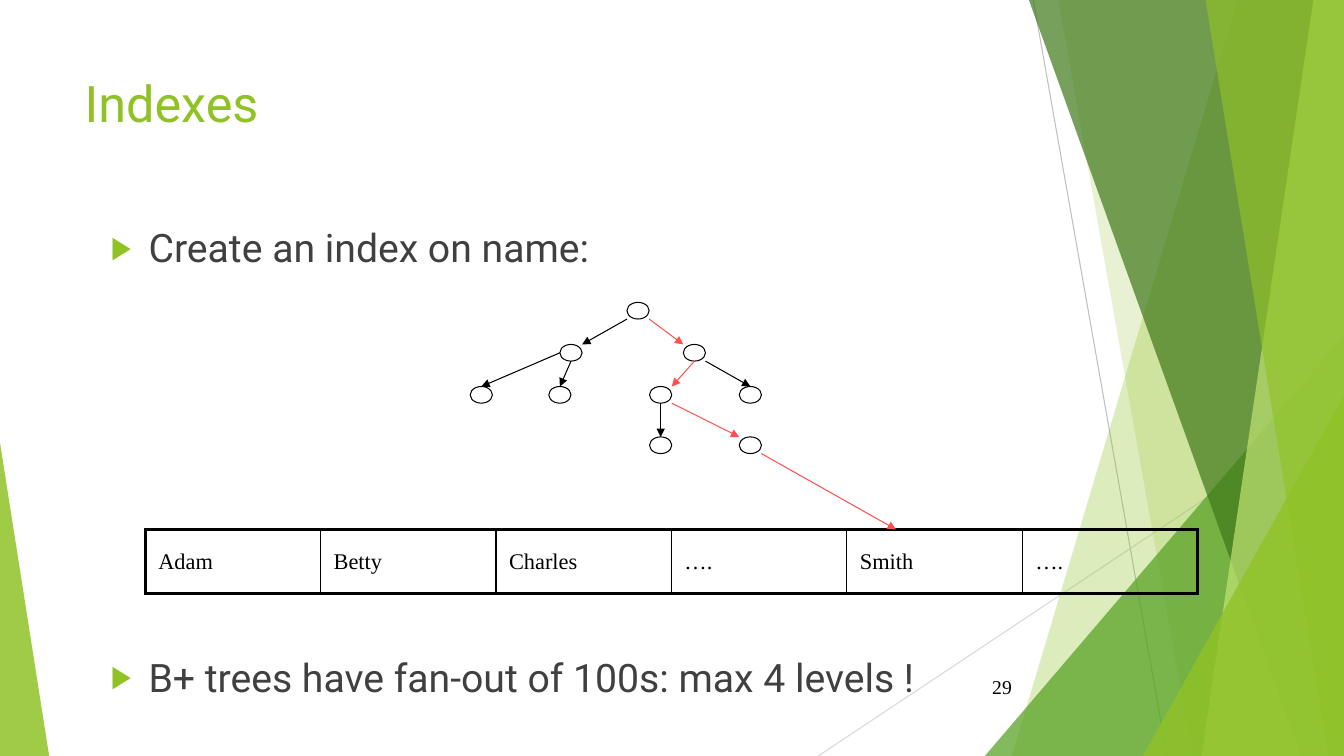
from typing import NamedTuple, Optional

import pptx
import pptx.dml.color
import pptx.enum.shapes
import pptx.enum.text
import pptx.oxml
import pptx.oxml.ns
import pptx.util
from lxml import etree

Cm = pptx.util.Cm
Pt = pptx.util.Pt
SHAPE = pptx.enum.shapes.MSO_SHAPE
ANCHOR = pptx.enum.text.MSO_ANCHOR
ALIGN = pptx.enum.text.PP_ALIGN

W, H = 33.87, 19.05
GREEN, BLACK, RED, GREY = "90C226", "000000", "FF5050", "404040"
NODE_W, NODE_H = 0.56, 0.42
TABLE_X, TABLE_Y, TABLE_W, TABLE_H = 3.66, 13.34, 26.52, 1.62
NAMES = ["Adam", "Betty", "Charles", "….", "Smith", "…."]

Point = tuple[float, float]


class Line(NamedTuple):
    start: Point
    end: Point
    color: str


class Facet(NamedTuple):
    """A translucent panel from its top edge point to its bottom edge point."""
    top_x: float
    bottom_x: float
    color: str
    alpha: int


class Triangle(NamedTuple):
    x: float
    y: float
    w: float
    apex: float
    color: str
    alpha: int


class Edge(NamedTuple):
    """An arrow between two nodes, each end given as a fraction of the node's box."""
    parent: str
    out: Point
    child: Optional[str]
    into: Point
    color: str = BLACK


GUIDES = [
    Line((26.04, 0), (29.41, H), "BFBFBF"),
    Line((W, 10.24), (20.62, H), "D9D9D9"),
]
PANELS = [
    Facet(31.19, 25.5, GREEN, 30),
    Facet(26.67, 30.05, GREEN, 20),
    Triangle(24.82, 8.46, 9.05, 1, "54A021", 72),
    Facet(25.93, 32.79, "3F7819", 70),
    Facet(33.1, 30.28, "C0E474", 70),
    Facet(30.38, 33.48, GREEN, 65),
    Triangle(28.8, 9.98, 5.07, 1, GREEN, 80),
    Triangle(0, 11.15, 1.24, 0, GREEN, 85),
]
NODES = {
    "root": (15.8, 7.62),
    "L": (14.11, 8.68), "R": (17.22, 8.68),
    "LL": (11.85, 9.74), "LR": (13.83, 9.74),
    "RL": (16.37, 9.74), "RR": (18.63, 9.74),
    "RLL": (16.37, 11.01), "RLR": (18.63, 11.01),
}
EDGES = [
    Edge("root", (0, 1), "L", (1, 0)),
    Edge("root", (1, 1), "R", (0, 0), RED),
    Edge("L", (0, 0.5), "LL", (0.5, 0)),
    Edge("L", (0.5, 1), "LR", (0.5, 0)),
    Edge("R", (0.5, 1), "RL", (1, 0), RED),
    Edge("R", (1, 1), "RR", (0.5, 0)),
    Edge("RL", (0.5, 1), "RLL", (0.5, 0)),
    Edge("RL", (1, 1), "RLR", (0, 0), RED),
]


def rgb(color: str) -> pptx.dml.color.RGBColor:
    return pptx.dml.color.RGBColor.from_string(color)


def add_sub(parent, tag: str, **attrs: str):
    return etree.SubElement(parent, pptx.oxml.ns.qn(tag), attrs)


def place(sp, x: float, y: float, w: float, h: float) -> None:
    sp.left, sp.top, sp.width, sp.height = Cm(x), Cm(y), Cm(w), Cm(h)


def add_run(p, text: str, size: float, color: str, font: str = "Roboto") -> None:
    r = p.add_run()
    r.text = text
    r.font.size, r.font.name = Pt(size), font
    r.font.color.rgb = rgb(color)


def draw_line(s, line: Line, arrow: bool = False) -> None:
    (x1, y1), (x2, y2) = line.start, line.end
    cx = s.shapes.add_connector(pptx.enum.shapes.MSO_CONNECTOR.STRAIGHT,
                                Cm(x1), Cm(y1), Cm(x2), Cm(y2))
    cx.line.color.rgb = rgb(line.color)
    cx.line.width = Pt(0.75)
    if arrow:
        add_sub(cx.line._get_or_add_ln(), "a:tailEnd", type="triangle")
    add_sub(cx._element.spPr, "a:effectLst")


def draw_panel(s, panel: Facet | Triangle) -> None:
    if isinstance(panel, Facet):
        fb = s.shapes.build_freeform(Cm(panel.top_x), 0, scale=1.0)
        fb.add_line_segments([(Cm(W), 0), (Cm(W), Cm(H)), (Cm(panel.bottom_x), Cm(H))])
        sp = fb.convert_to_shape()
    else:
        sp = s.shapes.add_shape(SHAPE.ISOSCELES_TRIANGLE, Cm(panel.x), Cm(panel.y),
                                Cm(panel.w), Cm(H - panel.y))
        sp.adjustments[0] = panel.apex
    sp.shadow.inherit = False
    sp.line.fill.background()
    sp.fill.solid()
    sp.fill.fore_color.rgb = rgb(panel.color)
    clr = sp._element.spPr.find(".//" + pptx.oxml.ns.qn("a:srgbClr"))
    add_sub(clr, "a:alpha", val=str(panel.alpha * 1000))


def draw_title(s) -> None:
    title = s.shapes.title
    place(title, 1.88, 1.7, 23.88, 3.66)
    tf = title.text_frame
    tf.auto_size = pptx.enum.text.MSO_AUTO_SIZE.NONE
    tf.vertical_anchor = ANCHOR.TOP
    p = tf.paragraphs[0]
    p.alignment = ALIGN.LEFT
    add_run(p, "Indexes", 36, GREEN)


def draw_body(s) -> None:
    body = s.placeholders[1]
    place(body, 2.54, 5.51, 29.64, 11.43)
    tf = body.text_frame
    tf.auto_size = pptx.enum.text.MSO_AUTO_SIZE.NONE
    bullets = [("Create an index on name:", 0),
               ("B+ trees have fan-out of 100s: max 4 levels !", 273)]
    for i, (text, space) in enumerate(bullets):
        p = tf.add_paragraph() if i else tf.paragraphs[0]
        p.space_before = Pt(space)
        add_run(p, text, 28, GREY)
        pPr = p._p.get_or_add_pPr()
        pPr.set("marL", str(Cm(0.95)))
        pPr.set("indent", str(-Cm(0.95)))
        add_sub(add_sub(pPr, "a:buClr"), "a:srgbClr", val=GREEN)
        add_sub(pPr, "a:buSzPct", val="80000")
        add_sub(pPr, "a:buChar", char="▶")


def draw_border(cell, side: str, width: float) -> None:
    ln = pptx.oxml.parse_xml(
        f'<a:{side} {pptx.oxml.ns.nsdecls("a")} w="{Pt(width)}"><a:solidFill>'
        f'<a:srgbClr val="{BLACK}"/></a:solidFill></a:{side}>')
    cell._tc.get_or_add_tcPr().append(ln)


def draw_table(s) -> None:
    table = s.shapes.add_table(1, len(NAMES), Cm(TABLE_X), Cm(TABLE_Y),
                               Cm(TABLE_W), Cm(TABLE_H)).table
    table.first_row = table.horz_banding = False
    last = len(NAMES) - 1
    for i, name in enumerate(NAMES):
        cell = table.cell(0, i)
        cell.vertical_anchor = ANCHOR.MIDDLE
        cell.margin_left = cell.margin_right = Cm(0.33)
        cell.margin_top = cell.margin_bottom = Cm(0.13)
        add_run(cell.text_frame.paragraphs[0], name, 16, BLACK, "Times New Roman")
        draw_border(cell, "lnL", 2.25 if i == 0 else 1)
        draw_border(cell, "lnR", 2.25 if i == last else 1)
        draw_border(cell, "lnT", 2.25)
        draw_border(cell, "lnB", 2.25)
        cell.fill.background()


def node_point(name: str, at: Point) -> Point:
    x, y = NODES[name]
    return x + at[0] * NODE_W, y + at[1] * NODE_H


def draw_tree(s) -> None:
    for x, y in NODES.values():
        sp = s.shapes.add_shape(SHAPE.OVAL, Cm(x), Cm(y), Cm(NODE_W), Cm(NODE_H))
        sp.shadow.inherit = False
        sp.fill.background()
        sp.line.color.rgb = rgb(BLACK)
        sp.line.width = Pt(0.75)
    for e in EDGES:
        draw_line(s, Line(node_point(e.parent, e.out), node_point(e.child, e.into), e.color), True)
    draw_line(s, Line(node_point("RLR", (1, 1)), (22.58, TABLE_Y), RED), True)


def draw_page_number(s) -> None:
    tf = s.shapes.add_textbox(Cm(23.85), Cm(16.79), Cm(1.9), Cm(1.02)).text_frame
    tf.word_wrap = True
    tf.vertical_anchor = ANCHOR.MIDDLE
    p = tf.paragraphs[0]
    p.alignment = ALIGN.RIGHT
    add_run(p, "29", 14, BLACK, "Times New Roman")


def main() -> None:
    prs = pptx.Presentation()
    prs.slide_width, prs.slide_height = Cm(W), Cm(H)
    s = prs.slides.add_slide(prs.slide_layouts[1])
    for guide in GUIDES:
        draw_line(s, guide)
    for panel in PANELS:
        draw_panel(s, panel)
    draw_page_number(s)
    draw_body(s)
    draw_title(s)
    draw_table(s)
    draw_tree(s)
    prs.save("out.pptx")


if __name__ == "__main__":
    main()
